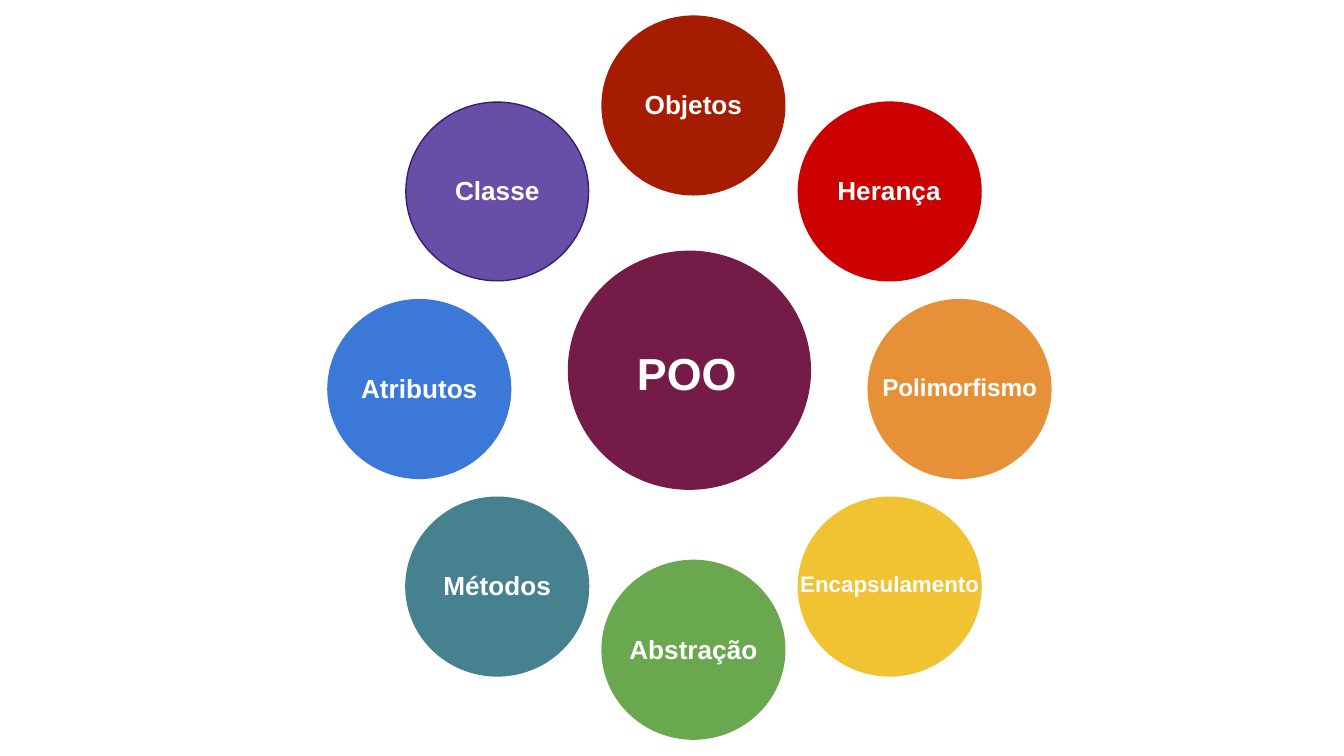
import dataclasses
import pptx
import pptx.dml.color
import pptx.enum.shapes
import pptx.enum.text
import pptx.util

SCALE = 9144


@dataclasses.dataclass(frozen=True)
class Theme:
    font: str = "Arial"
    text: str = "FFFFFF"
    page: str = "FFFFFF"
    hub: str = "741B47"
    brick: str = "A61C00"
    red: str = "CC0000"
    amber: str = "E69138"
    gold: str = "F1C232"
    green: str = "6AA84F"
    teal: str = "45818E"
    blue: str = "3C78D8"
    violet: str = "674EA7"
    edge: str = "351C75"
    large: int = 24
    body: int = 14
    small: int = 13
    tiny: int = 12
    rule: float = 0.75


THEME = Theme()

NODES = [
    ("Objetos", 204, 0, 146, THEME.brick, THEME.brick, THEME.body),
    ("Herança", 350, 64, 111, THEME.red, THEME.red, THEME.body),
    ("Polimorfismo", 402, 211, 146, THEME.amber, THEME.amber, THEME.small),
    ("Encapsulamento", 350, 358, 158, THEME.gold, THEME.gold, THEME.tiny),
    ("Abstração", 204, 405, 146, THEME.green, THEME.green, THEME.body),
    ("Métodos", 58, 358, 136, THEME.teal, THEME.teal, THEME.body),
    ("Atributos", 0, 211, 146, THEME.blue, THEME.blue, THEME.body),
    ("Classe", 58, 64, 146, THEME.violet, THEME.edge, THEME.body),
]


def px(count):
    return pptx.util.Emu(count * SCALE)


def color(code):
    return pptx.dml.color.RGBColor.from_string(code)


def disc(slide, box, fill, edge):
    shape = slide.shapes.add_shape(
        pptx.enum.shapes.MSO_SHAPE.OVAL, *map(px, box))
    shape.shadow.inherit = False
    shape.fill.solid()
    shape.fill.fore_color.rgb = color(fill)
    shape.line.color.rgb = color(edge)
    shape.line.width = pptx.util.Pt(THEME.rule)


def write(shape, text, size):
    frame = shape.text_frame
    frame.word_wrap = True
    frame.auto_size = pptx.enum.text.MSO_AUTO_SIZE.NONE
    frame.vertical_anchor = pptx.enum.text.MSO_ANCHOR.TOP
    frame.margin_left = frame.margin_right = px(10)
    frame.margin_top = frame.margin_bottom = px(10)
    para = frame.paragraphs[0]
    para.alignment = pptx.enum.text.PP_ALIGN.CENTER
    para.line_spacing = 1.0
    para.space_before = pptx.util.Pt(0)
    run = para.add_run()
    run.text = text
    run.font.name = THEME.font
    run.font.size = pptx.util.Pt(size)
    run.font.bold = True
    run.font.color.rgb = color(THEME.text)


def ring(slide, box):
    left, top, wide, high = box
    for text, dx, dy, span, fill, edge, size in NODES:
        x, y = left + dx, top + dy
        disc(slide, (x, y, wide, high), fill, edge)
        spot = (x + (wide - span) // 2, y + high // 3, span, 44)
        label = slide.shapes.add_textbox(*map(px, spot))
        write(label, text, size)


def hub(slide, box):
    left, top, wide, high = box
    disc(slide, box, THEME.hub, THEME.hub)
    title = slide.shapes.title
    title.left, title.top = px(left + 9), px(top + 60)
    title.width, title.height = px(158), px(55)
    write(title, "POO", THEME.large)
    title.element.getparent().append(title.element)


def main():
    deck = pptx.Presentation()
    deck.slide_width = px(1000)
    deck.slide_height = deck.slide_width * 9 // 16
    slide = deck.slides.add_slide(deck.slide_layouts[5])
    slide.background.fill.solid()
    slide.background.fill.fore_color.rgb = color(THEME.page)
    ring(slide, (244, 12, 136, 133))
    hub(slide, (423, 187, 180, 177))
    deck.save("out.pptx")


if __name__ == "__main__":
    main()
